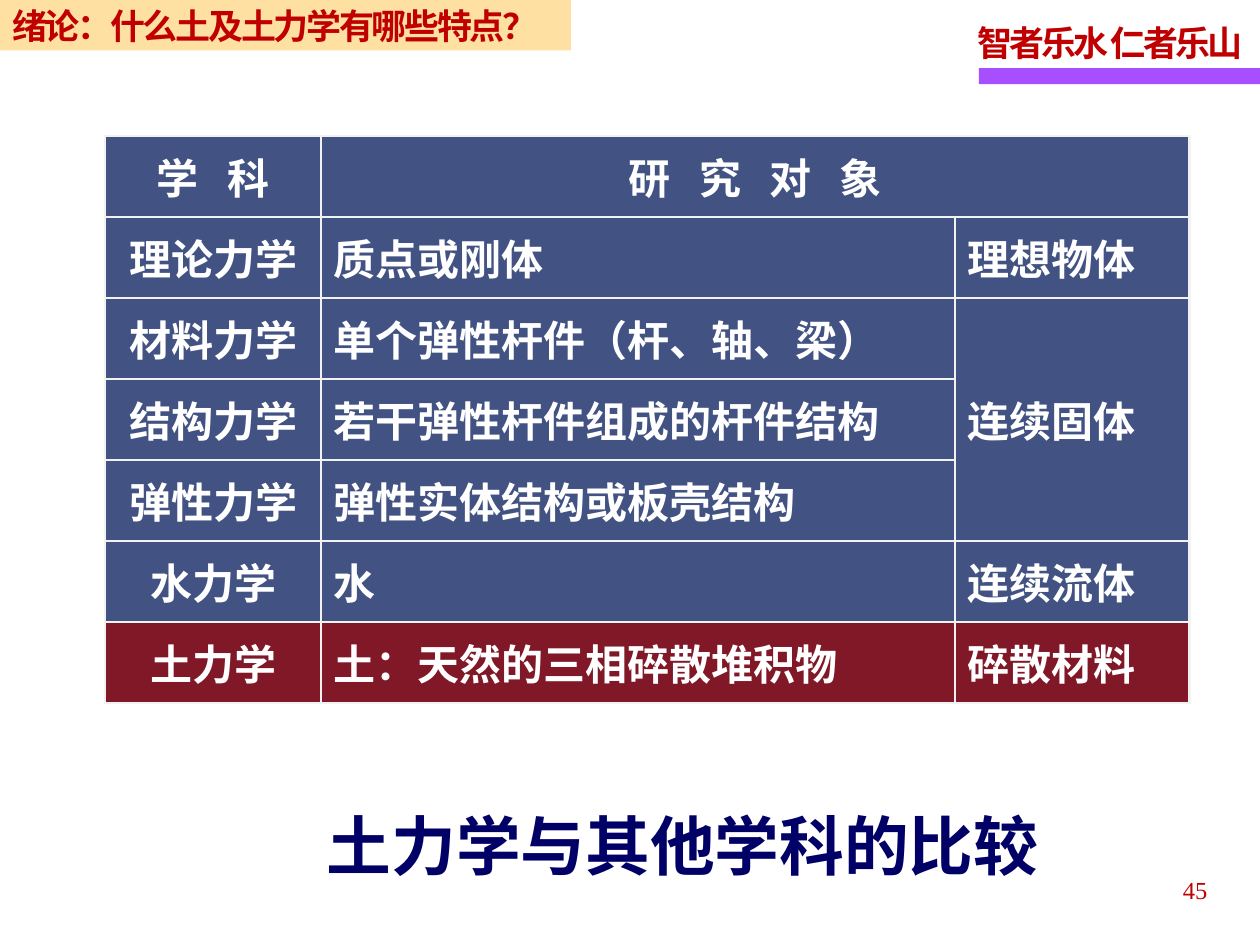
from lxml.etree import SubElement
from pptx import Presentation
from pptx.dml.color import RGBColor
from pptx.enum.shapes import MSO_SHAPE as Shape
from pptx.enum.text import MSO_ANCHOR as Anchor, PP_ALIGN as Align
from pptx.oxml.ns import qn
from pptx.util import Pt

SANS = "Noto Sans CJK SC"
SERIF = "Times New Roman"
RED, NAVY, WHITE, BORDER = "C00000", "000066", "FFFFFF", "F2F2F2"
BLUE_CELL, RED_CELL = "425282", "801828"

SUBJECTS = [
    ("学 科", "研 究 对 象", ""),
    ("理论力学", "质点或刚体", "理想物体"),
    ("材料力学", "单个弹性杆件（杆、轴、梁）", "连续固体"),
    ("结构力学", "若干弹性杆件组成的杆件结构", ""),
    ("弹性力学", "弹性实体结构或板壳结构", ""),
    ("水力学", "水", "连续流体"),
    ("土力学", "土：天然的三相碎散堆积物", "碎散材料"),
]


def color(value):
    return RGBColor.from_string(value)


class SlideBuilder:
    def __init__(self, slide):
        self.slide = slide

    def set_text(self, frame, text, size, ink, font=SANS, bold=True, spacing=0,
                 align=Align.LEFT, line_spacing=None):
        """Fill a text frame with one paragraph; spacing is in points."""
        frame.text = text
        para = frame.paragraphs[0]
        para.alignment = align
        if line_spacing:
            para.line_spacing = line_spacing
        for span in para.runs:
            span.font.size, span.font.bold = Pt(size), bold
            span.font.color.rgb = color(ink)
            span.font.name = font
            properties = span.font._element
            SubElement(properties, qn("a:ea"), typeface=SANS)
            if spacing:
                properties.set("spc", str(round(spacing * 100)))

    def text(self, place, text, size, ink, wrap=True, **style):
        box = self.slide.shapes.add_textbox(*map(Pt, place))
        box.text_frame.word_wrap = wrap
        self.set_text(box.text_frame, text, size, ink, **style)

    def shape(self, kind, place, fill=None, alpha=None):
        shape = self.slide.shapes.add_shape(kind, *map(Pt, place))
        shape.shadow.inherit = False
        shape.line.fill.background()
        if fill:
            shape.fill.solid()
            shape.fill.fore_color.rgb = color(fill)
        else:
            shape.fill.background()
        if alpha:
            tint = shape._element.spPr.find(".//" + qn("a:srgbClr"))
            SubElement(tint, qn("a:alpha"), val=str(alpha * 1000))
        shape.text_frame.vertical_anchor = Anchor.MIDDLE
        return shape

    def border(self, cell, ink, width):
        properties = cell._tc.get_or_add_tcPr()
        for side in ("lnL", "lnR", "lnT", "lnB"):
            line = SubElement(properties, qn("a:" + side), w=str(Pt(width)))
            fill = SubElement(line, qn("a:solidFill"))
            SubElement(fill, qn("a:srgbClr"), val=ink)

    def table(self, left, top, widths, row_height, rows, merges):
        table = self.slide.shapes.add_table(
            len(rows), len(widths), Pt(left), Pt(top),
            Pt(sum(widths)), Pt(row_height * len(rows))).table
        for column, width in zip(table.columns, widths):
            column.width = Pt(width)
        for i, row in enumerate(rows):
            table.rows[i].height = Pt(row_height)
            for j, text in enumerate(row):
                cell = table.cell(i, j)
                self.border(cell, BORDER, 1.5)
                cell.fill.solid()
                last = i == len(rows) - 1
                cell.fill.fore_color.rgb = color(RED_CELL if last else BLUE_CELL)
                cell.vertical_anchor = Anchor.MIDDLE
                if text:
                    centred = i == 0 or j == 0
                    self.set_text(cell.text_frame, text, 24, WHITE,
                                  spacing=5.4 if i == 0 else 0,
                                  align=Align.CENTER if centred else Align.LEFT)
        for start, end in merges:
            table.cell(*start).merge(table.cell(*end))


def main():
    deck = Presentation()
    deck.slide_width, deck.slide_height = Pt(720), Pt(540)
    page = SlideBuilder(deck.slides.add_slide(deck.slide_layouts[6]))

    page.shape(Shape.RECTANGLE, (559.4, 38.9, 160.6, 9.2), "A74FFF")
    page.text((551.5, 5, 169.9, 35.3), "智者乐水 仁者乐山", 20, RED, wrap=False,
              font=SERIF, spacing=-1.7, line_spacing=1.15)
    page.text((529.2, 493.9, 167.8, 28.8), "45", 14, RED, font=SERIF,
              bold=False, align=Align.RIGHT, line_spacing=1.15)

    caption = page.shape(Shape.ROUNDED_RECTANGLE, (182.9, 457.2, 478.8, 51.1))
    frame = caption.text_frame
    frame.margin_left = frame.margin_right = Pt(1.4)
    frame.margin_top = frame.margin_bottom = Pt(0.7)
    page.set_text(frame, "土力学与其他学科的比较", 37, NAVY)

    banner = page.shape(Shape.RECTANGLE, (0, 0, 326.2, 28.8), "FFCC66", alpha=60)
    page.set_text(banner.text_frame, "绪论：什么土及土力学有哪些特点？", 20, RED,
                  spacing=-1.4)

    page.table(60, 77.8, (123.6, 362.2, 133.9), 46.3, SUBJECTS,
               merges=[((0, 1), (0, 2)), ((2, 2), (4, 2))])
    deck.save("out.pptx")


if __name__ == "__main__":
    main()
